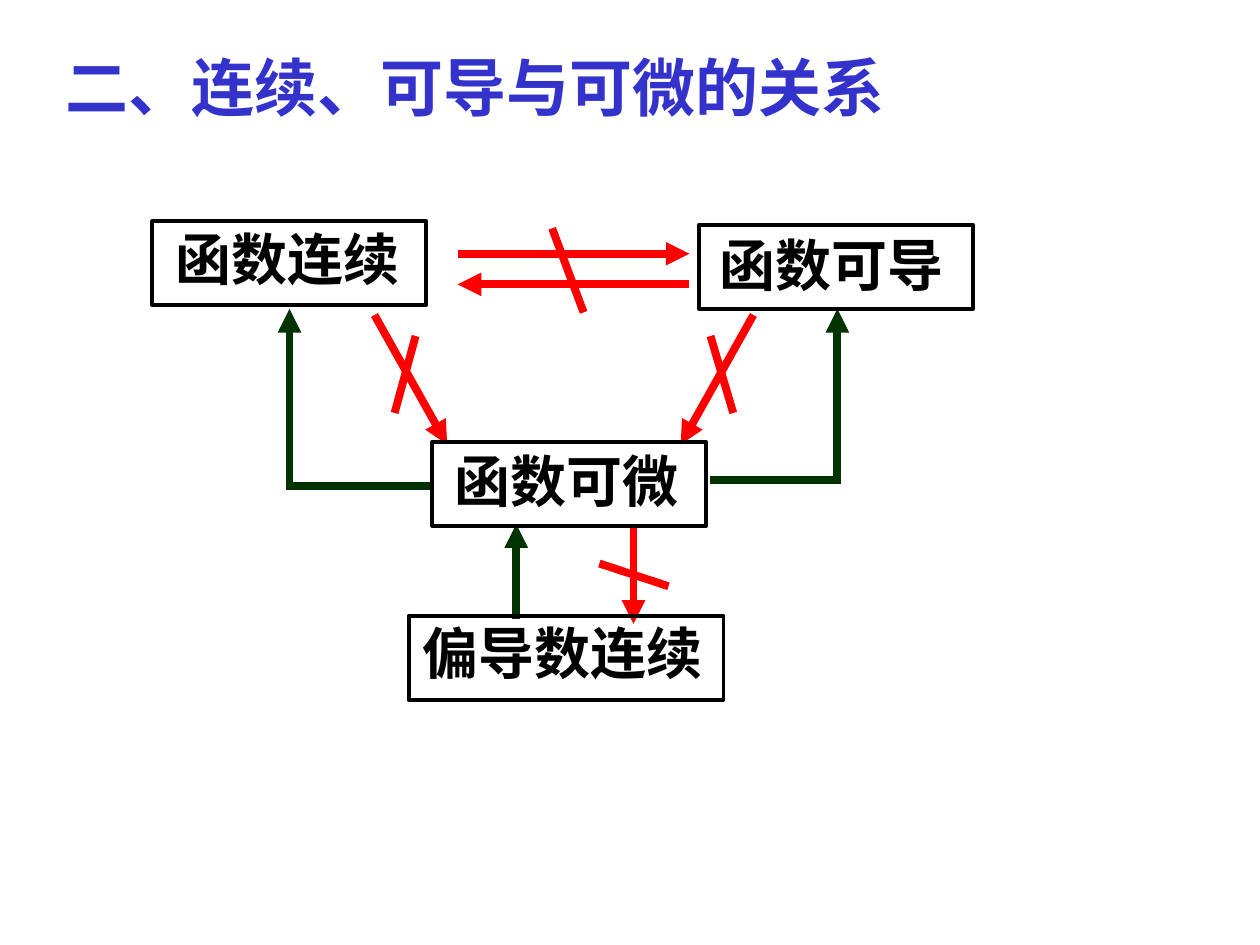
import pptx
import pptx.dml.color
import pptx.enum.shapes
import pptx.enum.text
import pptx.oxml.ns
import pptx.util
from lxml import etree

Pt = pptx.util.Pt
CONNECTOR = pptx.enum.shapes.MSO_CONNECTOR
BLUE, RED, GREEN, BLACK = "3333CC", "FF0000", "003300", "000000"


def color(value):
    return pptx.dml.color.RGBColor.from_string(value)


class Diagram:
    font = "Times New Roman"
    arrow_width = 4.5
    frame_width = 2.25

    def __init__(self, slide):
        self.slide = slide

    def text(self, left, top, width, height, content, size, fill, wrap=True):
        shape = self.slide.shapes.add_textbox(Pt(left), Pt(top), Pt(width), Pt(height))
        frame = shape.text_frame
        frame.word_wrap = wrap
        frame.auto_size = pptx.enum.text.MSO_AUTO_SIZE.SHAPE_TO_FIT_TEXT
        run = frame.paragraphs[0].add_run()
        run.text = content
        run.font.name = self.font
        run.font.size = Pt(size)
        run.font.bold = True
        run.font.color.rgb = color(fill)

    def frame(self, left, top, width, height):
        rectangle = pptx.enum.shapes.MSO_SHAPE.RECTANGLE
        shape = self.slide.shapes.add_shape(rectangle, Pt(left), Pt(top), Pt(width), Pt(height))
        shape.shadow.inherit = False
        shape.fill.background()
        shape.line.color.rgb = color(BLACK)
        shape.line.width = Pt(self.frame_width)

    def line(self, start, end, stroke, arrow=True, bent=False):
        kind = CONNECTOR.ELBOW if bent else CONNECTOR.STRAIGHT
        points = [Pt(value) for value in (*start, *end)]
        connector = self.slide.shapes.add_connector(kind, *points)
        connector.line.color.rgb = color(stroke)
        connector.line.width = Pt(self.arrow_width)
        properties = connector._element.spPr
        qn = pptx.oxml.ns.qn
        if bent:  # one corner: across, then up
            properties.find(qn("a:prstGeom")).set("prst", "bentConnector2")
        line = properties.find(qn("a:ln"))
        etree.SubElement(line, qn("a:miter"), lim="800000")
        if arrow:
            etree.SubElement(line, qn("a:tailEnd"), type="triangle")
        etree.SubElement(properties, qn("a:effectLst"))


def main():
    presentation = pptx.Presentation()
    presentation.slide_width = Pt(720)
    presentation.slide_height = Pt(540)
    slide = presentation.slides.add_slide(presentation.slide_layouts[6])
    diagram = Diagram(slide)

    # Title
    diagram.text(30.5, 24, 482.5, 50.5, "二、连续、可导与可微的关系", 36, BLUE, wrap=False)

    # Red arrows
    red_arrows = [
        ((214, 180), (255.5, 254)),
        ((261.5, 145), (394, 145)),
        ((394, 162.5), (261.5, 162.5)),
        ((362, 301), (362, 356.5)),
        ((430.5, 180), (389, 254)),
    ]
    for start, end in red_arrows:
        diagram.line(start, end, RED)

    # Strokes across the red arrows; the second crosses the upper pair
    strokes = [
        ((237.5, 192), (225.5, 236)),
        ((315.5, 130.5), (333.5, 178.5)),
        ((342.5, 322), (382, 335)),
        ((406, 192), (419, 236)),
    ]
    for start, end in strokes:
        diagram.line(start, end, RED, arrow=False)

    # Green arrows
    diagram.line((405.5, 274.5), (478.5, 176.5), GREEN, bent=True)
    diagram.line((295, 353.5), (295, 299.5), GREEN)
    diagram.line((246, 277.5), (165.5, 176.5), GREEN, bent=True)

    # Concepts: label position and width, then frame position and width
    concepts = [
        ("函数可微", 252.5, 251.5, 181.5, 247, 252.5, 156.5),
        ("函数连续", 93.5, 124.5, 191.5, 87, 126.5, 156.5),
        ("偏导数连续", 234.5, 350, 194.5, 233.5, 352, 180),
        ("函数可导", 404, 128, 181.5, 399.5, 128.5, 156.5),
    ]
    for label, left, top, width, *_ in concepts:
        diagram.text(left, top, width, 46, label, 32, BLACK)
    for *_, left, top, width in concepts:
        diagram.frame(left, top, width, 48)

    presentation.save("out.pptx")


if __name__ == "__main__":
    main()
